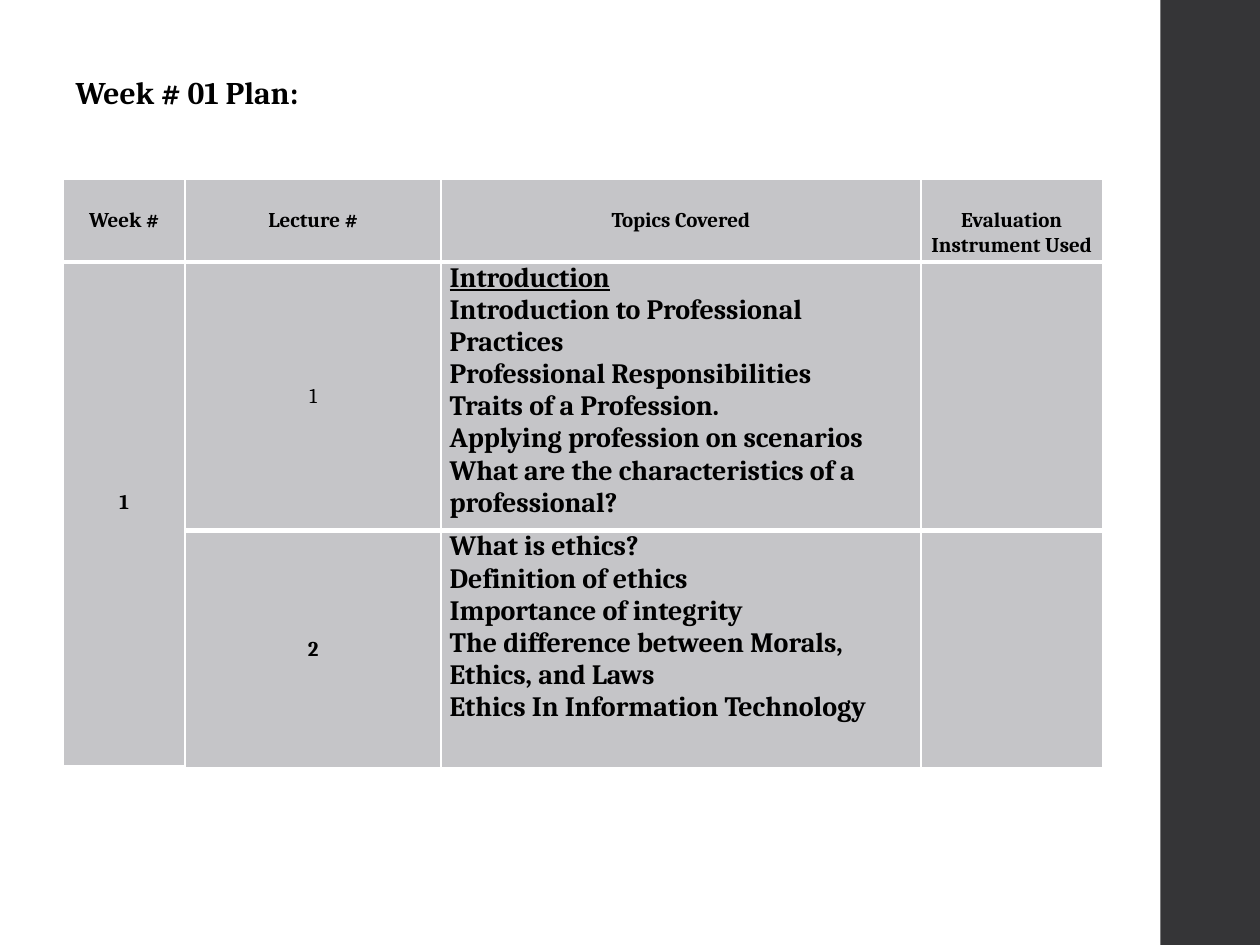
from pptx import Presentation
from pptx.dml.color import RGBColor
from pptx.enum.shapes import MSO_SHAPE
from pptx.enum.text import MSO_ANCHOR, MSO_AUTO_SIZE, PP_ALIGN
from pptx.oxml import parse_xml
from pptx.oxml.ns import nsdecls
from pptx.util import Inches, Pt

BLACK = RGBColor(0, 0, 0)
WHITE = RGBColor(0xFF, 0xFF, 0xFF)
GREY = RGBColor(0xC5, 0xC5, 0xC8)
DARK = RGBColor(0x35, 0x35, 0x37)

FONT = {"name": "Cambria", "bold": True}
HEAD = FONT | {"size": Pt(18)}
LABEL = FONT | {"size": Pt(12)}
TOPIC = FONT | {"size": Pt(16)}
FRAME = {"word_wrap": False, "vertical_anchor": MSO_ANCHOR.TOP,
         "auto_size": MSO_AUTO_SIZE.SHAPE_TO_FIT_TEXT}
PAD = {"margin_left": Inches(0.07), "margin_right": Inches(0.07),
       "margin_top": 0, "margin_bottom": 0}
MID = PAD | {"vertical_anchor": MSO_ANCHOR.MIDDLE}
LINE = Inches(0.2)

COLS = [0.97, 2.03, 3.81, 1.44]
ROWS = [0.66, 2.13, 1.88]
HEADS = ["Week #", "Lecture #", "Topics Covered", "Evaluation Instrument Used"]
TOPICS = [
    ["Introduction", "Introduction to Professional Practices",
     "Professional Responsibilities", "Traits of a Profession.",
     "Applying profession on scenarios",
     "What are the characteristics of a professional?"],
    ["What is ethics?", "Definition of ethics", "Importance of integrity",
     "The difference between Morals, Ethics, and Laws",
     "Ethics In Information Technology"],
]


def apply(item, form):
    """Set each attribute named in a format dict."""
    for key, val in form.items():
        setattr(item, key, val)


def write(frame, lines, form, align):
    """Fill a text frame with one paragraph per line."""
    frame.text = "\n".join(lines)
    for para in frame.paragraphs:
        para.alignment = align
        for run in para.runs:
            apply(run.font, form)
            run.font.color.rgb = BLACK


def edge(cell, side, width):
    """Draw one white border of a cell."""
    cell._tc.get_or_add_tcPr().append(parse_xml(
        f'<a:ln{side} {nsdecls("a")} w="{Pt(width)}"><a:solidFill>'
        f'<a:srgbClr val="{WHITE}"/></a:solidFill></a:ln{side}>'))


def paint(cell, row, last):
    """Give a cell its borders and fill, with thick lines between rows."""
    sides = {"L": 1, "R": 1, "T": 3 if row else 1, "B": 1 if row == last else 3}
    for side, width in sides.items():
        edge(cell, side, width)
    cell.fill.solid()
    cell.fill.fore_color.rgb = GREY


def label(cell, text, form=LABEL, pad=MID):
    """Write a centred label in a cell."""
    apply(cell, pad)
    write(cell.text_frame, [text], form, PP_ALIGN.CENTER)


def add_bar(slide, box):
    """Draw the dark side bar."""
    bar = slide.shapes.add_shape(MSO_SHAPE.RECTANGLE, *box)
    bar.shadow.inherit = False
    bar.fill.solid()
    bar.fill.fore_color.rgb = DARK
    bar.line.fill.background()


def add_title(slide, box):
    """Place and fill the title."""
    title = slide.shapes.title
    apply(title, dict(zip(("left", "top", "width", "height"), box)))
    write(title.text_frame, ["Week # 01 Plan:"], HEAD, PP_ALIGN.LEFT)
    apply(title.text_frame, FRAME)


def add_plan(slide, box):
    """Build the week plan table."""
    table = slide.shapes.add_table(len(ROWS), len(COLS), *box).table
    for col, share in zip(table.columns, COLS):
        col.width = int(box[2] * share / sum(COLS))
    for row, share in zip(table.rows, ROWS):
        row.height = int(box[3] * share / sum(ROWS))
    for row in range(len(ROWS)):
        for col in range(len(COLS)):
            paint(table.cell(row, col), row, len(ROWS) - 1)
    for col, text in enumerate(HEADS):
        drop = {"margin_top": LINE} if col == len(HEADS) - 1 else {}
        label(table.cell(0, col), text, pad=MID | drop)
    week = table.cell(1, 0)
    week.merge(table.cell(2, 0))
    label(week, "1", pad=MID | {"margin_bottom": LINE})
    for row, lines in enumerate(TOPICS, 1):
        label(table.cell(row, 1), str(row), LABEL | {"bold": row > 1})
        cell = table.cell(row, 2)
        apply(cell, PAD)
        write(cell.text_frame, lines, TOPIC, PP_ALIGN.LEFT)
    intro = table.cell(1, 2).text_frame.paragraphs[0].runs[0]
    intro.font.underline = True


def main():
    """Build and save the slide."""
    deck = Presentation()
    deck.slide_width, deck.slide_height = Inches(10), Inches(7.5)
    slide = deck.slides.add_slide(deck.slide_layouts[5])
    add_bar(slide, [Inches(n) for n in (9.21, 0, 0.79, 7.5)])
    add_title(slide, [Inches(n) for n in (0.5, 0.53, 2.24, 0.4)])
    add_plan(slide, [Inches(n) for n in (0.5, 1.42, sum(COLS), sum(ROWS))])
    deck.save("out.pptx")


if __name__ == "__main__":
    main()
